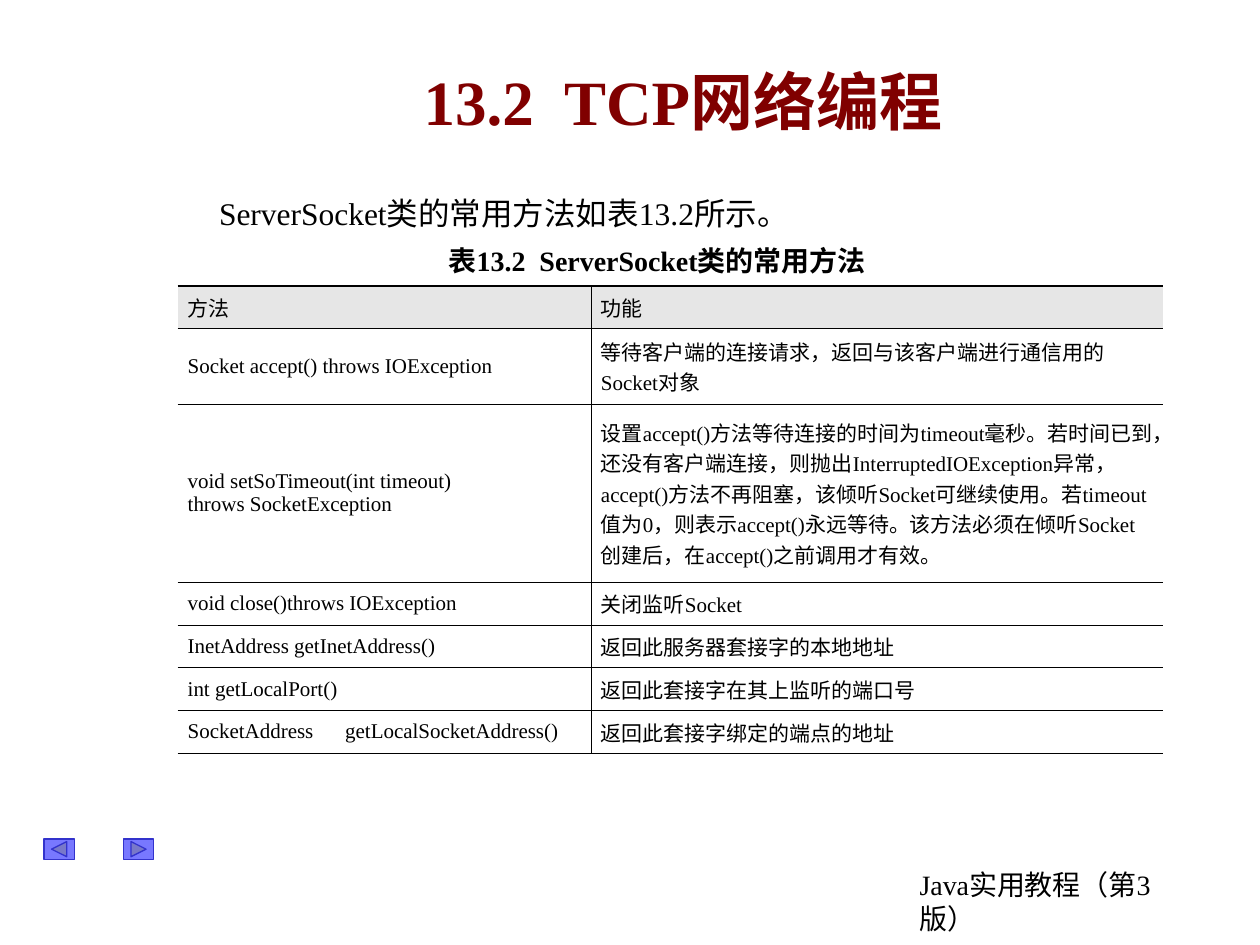
from lxml.etree import SubElement
from pptx import Presentation
from pptx.dml.color import RGBColor
from pptx.enum.shapes import MSO_SHAPE
from pptx.enum.text import MSO_ANCHOR, MSO_AUTO_SIZE, PP_ALIGN
from pptx.oxml import parse_xml
from pptx.oxml.ns import nsdecls, qn
from pptx.util import Inches, Pt

BLACK = RGBColor(0x00, 0x00, 0x00)
MAROON = RGBColor(0x80, 0x00, 0x00)
HEADER_GRAY = RGBColor(0xE6, 0xE6, 0xE6)
BUTTON_BLUE = RGBColor(0x00, 0x00, 0xFF)
BUTTON_EDGE = RGBColor(0x33, 0x33, 0xCC)

# Method, function; a vertical tab breaks the line, a tab makes a gap
METHODS = [
    ("方法", "功能"),
    ("Socket accept() throws IOException",
     "等待客户端的连接请求，返回与该客户端进行通信用的Socket对象"),
    ("void setSoTimeout(int timeout)\vthrows SocketException",
     "设置accept()方法等待连接的时间为timeout毫秒。若时间已到，还没有客户端连接，"
     "则抛出InterruptedIOException异常，accept()方法不再阻塞，该倾听Socket可继续使用。"
     "若timeout值为0，则表示accept()永远等待。该方法必须在倾听Socket创建后，"
     "在accept()之前调用才有效。"),
    ("void close()throws IOException", "关闭监听Socket"),
    ("InetAddress getInetAddress()", "返回此服务器套接字的本地地址"),
    ("int getLocalPort()", "返回此套接字在其上监听的端口号"),
    ("SocketAddress\tgetLocalSocketAddress()", "返回此套接字绑定的端点的地址"),
]


class LessonSlide:
    """Slide on a grid of 100 columns by 75 rows, with one text style."""

    FONT = "Times New Roman"
    COLUMNS, ROWS = 100, 75

    def __init__(self, presentation):
        self.col = presentation.slide_width / self.COLUMNS
        self.row = presentation.slide_height / self.ROWS
        self.slide = presentation.slides.add_slide(presentation.slide_layouts[5])

    def place(self, left, top, width, height):
        return (round(left * self.col), round(top * self.row),
                round(width * self.col), round(height * self.row))

    def add_runs(self, paragraph, text, size, color=BLACK, bold=False, align=PP_ALIGN.LEFT):
        paragraph.alignment = align
        for index, line in enumerate(text.split("\v")):
            if index:
                paragraph.add_line_break()
            run = paragraph.add_run()
            run.text = line
            run.font.name = self.FONT
            run.font.size = Pt(size)
            run.font.bold = bold
            run.font.color.rgb = color

    def title(self, box, text):
        heading = self.slide.shapes.title
        heading.left, heading.top, heading.width, heading.height = self.place(*box)
        heading.text_frame.vertical_anchor = MSO_ANCHOR.MIDDLE
        self.add_runs(heading.text_frame.paragraphs[0], text, 36, MAROON, True,
                      PP_ALIGN.CENTER)

    def text(self, box, text, size, wrap=False, anchor=MSO_ANCHOR.MIDDLE, **style):
        frame = self.slide.shapes.add_textbox(*self.place(*box)).text_frame
        frame.word_wrap = wrap
        frame.auto_size = MSO_AUTO_SIZE.SHAPE_TO_FIT_TEXT
        frame.vertical_anchor = anchor
        self.add_runs(frame.paragraphs[0], text, size, **style)

    def button(self, preset, box):
        button = self.slide.shapes.add_shape(preset, *self.place(*box))
        button.shadow.inherit = False
        button.fill.solid()
        button.fill.fore_color.rgb = BUTTON_BLUE
        tint = button._element.spPr.find(qn("a:solidFill"))[0]
        SubElement(tint, qn("a:alpha"), val="53000")
        button.line.color.rgb = BUTTON_EDGE
        button.line.width = Pt(0.75)

    def borders(self, cell, widths):
        """Set left, right, top and bottom borders; a width of 0 hides one."""
        properties = cell._tc.get_or_add_tcPr()
        for index, (side, width) in enumerate(zip("LRTB", widths)):
            paint = (f'<a:solidFill><a:srgbClr val="{BLACK}"/></a:solidFill>'
                     if width else "<a:noFill/>")
            properties.insert(index, parse_xml(
                f'<a:ln{side} {nsdecls("a")} w="{int(Pt(width))}">{paint}</a:ln{side}>'))

    def tab_stop(self, paragraph, columns):
        stops = SubElement(paragraph._p.get_or_add_pPr(), qn("a:tabLst"))
        SubElement(stops, qn("a:tab"), pos=str(round(columns * self.col)), algn="l")

    def table(self, left, top, widths, heights, rows, size):
        box = self.place(left, top, sum(widths), sum(heights))
        table = self.slide.shapes.add_table(len(rows), len(widths), *box).table
        table.first_row = table.horz_banding = False
        for column, width in zip(table.columns, widths):
            column.width = round(width * self.col)
        last = len(rows) - 1
        for r, (values, height) in enumerate(zip(rows, heights)):
            table.rows[r].height = round(height * self.row)
            for c, value in enumerate(values):
                cell = table.cell(r, c)
                cell.vertical_anchor = MSO_ANCHOR.MIDDLE
                cell.margin_left = cell.margin_right = Inches(0.08)
                cell.margin_top = cell.margin_bottom = Inches(0.05)
                if r == 0:
                    cell.fill.solid()
                    cell.fill.fore_color.rgb = HEADER_GRAY
                else:
                    cell.fill.background()
                self.borders(cell, (0.45 if c else 0, 0 if c else 0.45,
                                    0.45 if r else 0.75, 0.75 if r == last else 0.45))
                paragraph = cell.text_frame.paragraphs[0]
                if "\t" in value:
                    self.tab_stop(paragraph, 12.5)
                self.add_runs(paragraph, value, size,
                              align=PP_ALIGN.LEFT if r else PP_ALIGN.JUSTIFY)


def main():
    presentation = Presentation()
    presentation.slide_width, presentation.slide_height = Inches(10), Inches(7.5)
    lesson = LessonSlide(presentation)

    # Footer and navigation
    lesson.text((72, 68.4, 24.4, 6.4), "Java实用教程（第3版）", 16,
                wrap=True, anchor=MSO_ANCHOR.TOP)
    lesson.button(MSO_SHAPE.ACTION_BUTTON_FORWARD_OR_NEXT, (9.8, 66.6, 2.4, 1.6))
    lesson.button(MSO_SHAPE.ACTION_BUTTON_BACK_OR_PREVIOUS, (3.5, 66.6, 2.4, 1.6))

    # Title and introduction
    lesson.title((11.7, 4.2, 85, 7.5), "13.2  TCP网络编程")
    lesson.text((16.4, 14.9, 49, 4), "ServerSocket类的常用方法如表13.2所示。", 18)

    # Method table and its caption
    lesson.table(14.1, 22.7, (32.8, 45.4), (3.4, 6, 14.1) + (3.4,) * 4, METHODS, 12)
    lesson.text((34.1, 18.8, 36.1, 3.7), "表13.2  ServerSocket类的常用方法", 16,
                bold=True, align=PP_ALIGN.CENTER)

    presentation.save("out.pptx")


if __name__ == "__main__":
    main()
